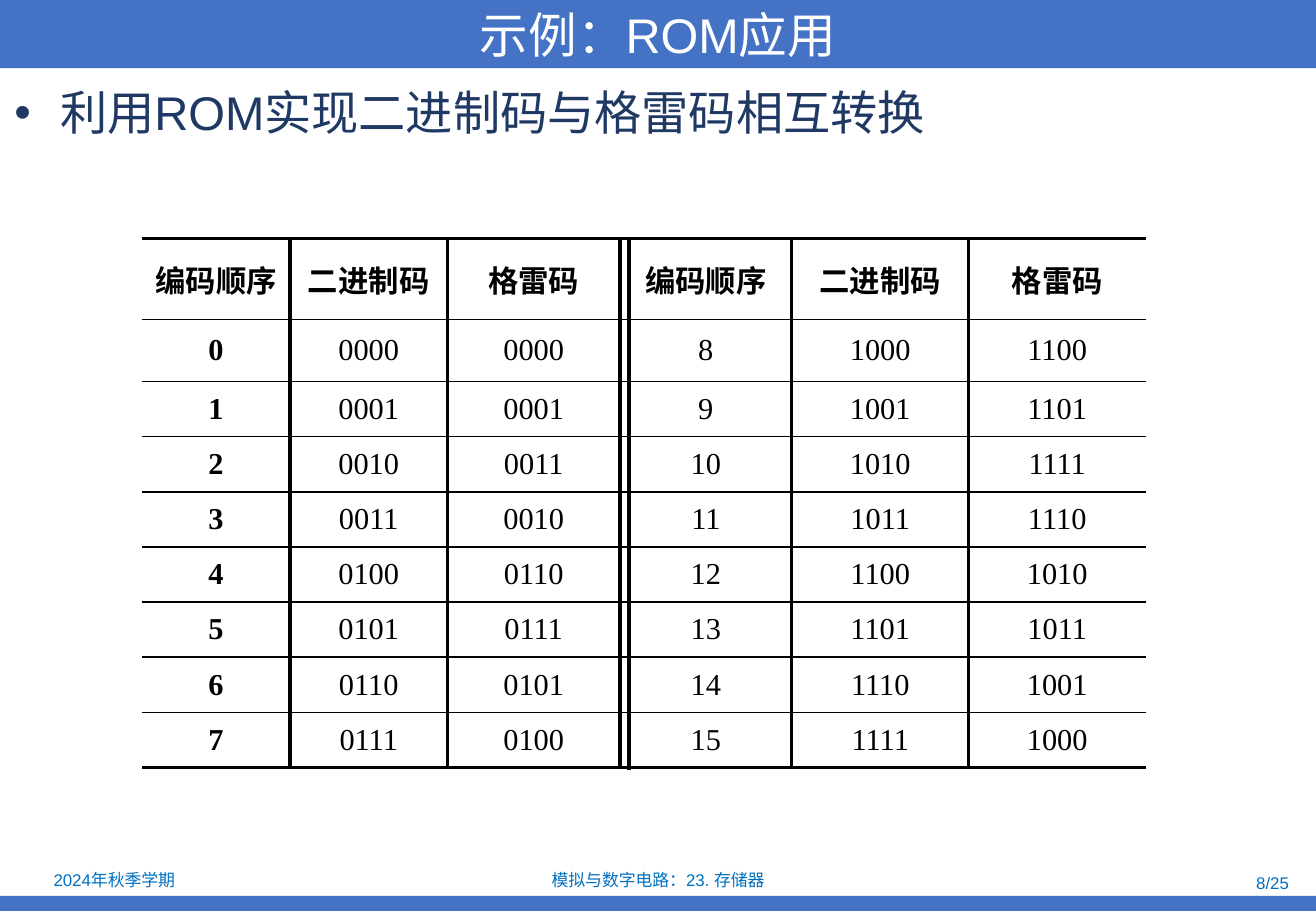
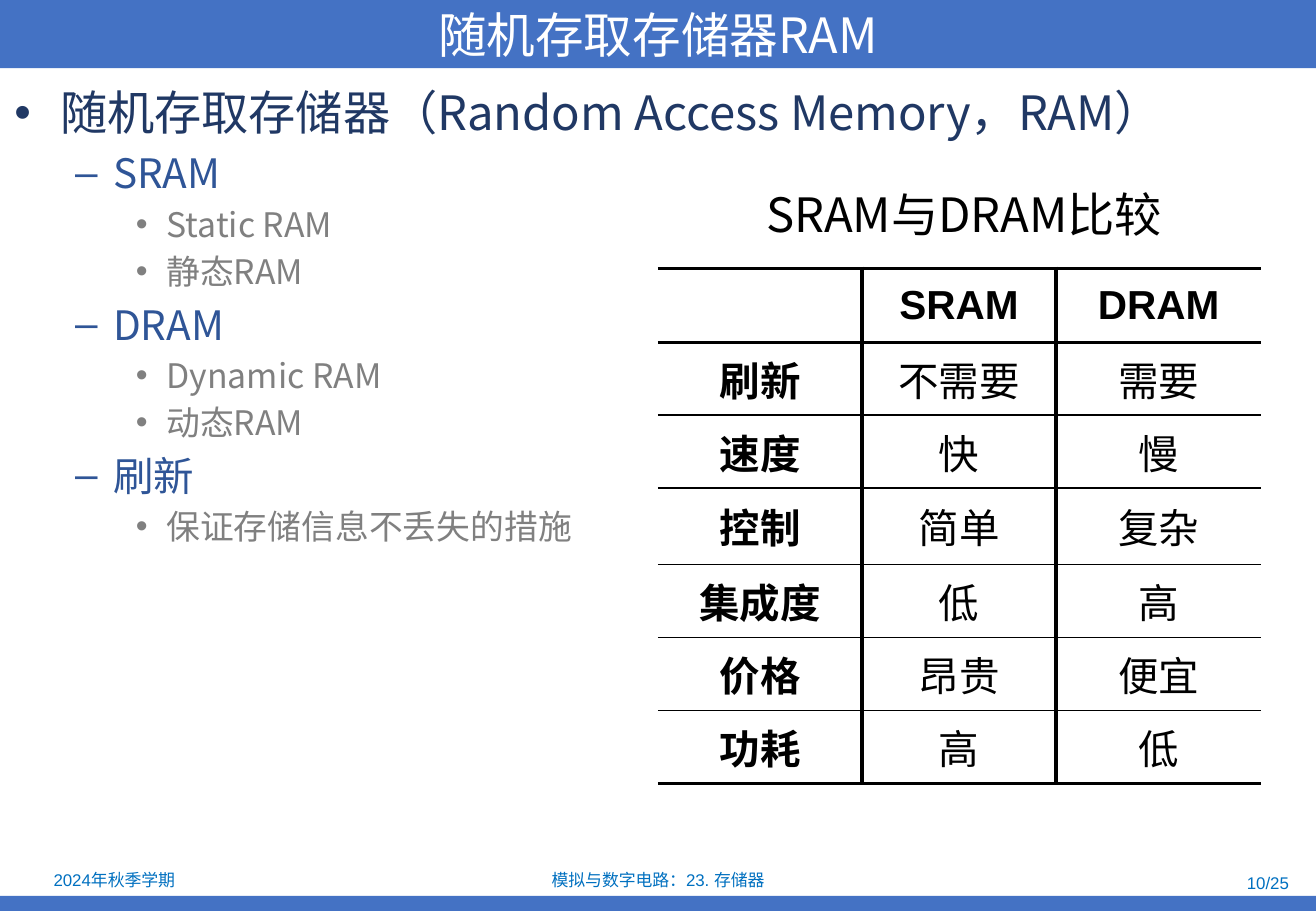
from dataclasses import dataclass

import lxml.etree
import pptx
import pptx.dml.color
import pptx.enum.shapes
import pptx.enum.text
import pptx.oxml.ns
import pptx.util

Pt = pptx.util.Pt
qn = pptx.oxml.ns.qn
ALIGN = pptx.enum.text.PP_ALIGN
MID = pptx.enum.text.MSO_ANCHOR.MIDDLE
TOP = pptx.enum.text.MSO_ANCHOR.TOP

COLORS = {"band": "4472C4", "foot": "0070C0", "white": "FFFFFF", "black": "000000",
          "navy": "203864", "blue": "2F5597", "gray": "808080"}
SANS, SERIF, HAN = "Arial", "Times New Roman", "Noto Sans CJK SC"
WIDE, HIGH = 780, 540
THICK, THIN = 2.25, 1
GAP = 0.2  # paragraph gap as a share of the text size


@dataclass(frozen=True)
class Box:
    x: float
    y: float
    w: float
    h: float


@dataclass(frozen=True)
class Look:
    size: float
    color: str
    font: str = SANS
    bold: bool = False


@dataclass(frozen=True)
class Level:
    left: float
    hang: float
    mark: str
    size: float
    color: str


@dataclass(frozen=True)
class Grid:
    x: float
    y: float
    cols: list[float]
    rows: list[float]
    cells: list[list[str]]
    head: Look
    size: float
    font: str
    pad: tuple[float, float]
    heavy: set[int]  # row lines drawn thick


LEVELS = [Level(27, 27, "•", 28, "navy"),
          Level(58.5, 22.5, "–", 24, "blue"),
          Level(90, 18, "•", 20, "gray")]


# Text
def rgb(name: str) -> pptx.dml.color.RGBColor:
    return pptx.dml.color.RGBColor.from_string(COLORS[name])


def add_run(para, text: str, look: Look) -> None:
    run = para.add_run()
    run.text = text
    font = run.font
    font.size, font.bold, font.name = Pt(look.size), look.bold, look.font
    font.color.rgb = rgb(look.color)
    lxml.etree.SubElement(font._element, qn("a:ea"), typeface=HAN)


def add_text(slide, box: Box, text: str, look: Look, align=ALIGN.CENTER, anchor=MID) -> None:
    frame = add_frame(slide, box, anchor)
    para = frame.paragraphs[0]
    para.alignment = align
    add_run(para, text, look)


def add_frame(slide, box: Box, anchor):
    shape = slide.shapes.add_textbox(Pt(box.x), Pt(box.y), Pt(box.w), Pt(box.h))
    frame = shape.text_frame
    frame.word_wrap, frame.vertical_anchor = True, anchor
    return frame


def add_list(slide, items: list[tuple[int, str]], font: str) -> None:
    frame = add_frame(slide, Box(1.5, 46, 778.5, 468), TOP)
    for i, (depth, text) in enumerate(items):
        level = LEVELS[depth]
        para = frame.add_paragraph() if i else frame.paragraphs[0]
        props = para._p.get_or_add_pPr()
        props.set("marL", str(Pt(level.left)))
        props.set("indent", str(-Pt(level.hang)))
        lxml.etree.SubElement(props, qn("a:buFont"), typeface=SANS)
        lxml.etree.SubElement(props, qn("a:buChar"), char=level.mark)
        para.level = depth
        para.space_before = Pt(level.size * GAP if i else 0)
        add_run(para, text, Look(level.size, level.color, font))


# Shared frame of every slide
def add_band(slide, box: Box):
    kind = pptx.enum.shapes.MSO_SHAPE.RECTANGLE
    band = slide.shapes.add_shape(kind, Pt(box.x), Pt(box.y), Pt(box.w), Pt(box.h))
    band.shadow.inherit = False
    band.fill.solid()
    band.fill.fore_color.rgb = rgb("band")
    band.line.fill.background()
    return band


def add_slide(deck, title: str, font: str, page: str):
    slide = deck.slides.add_slide(deck.slide_layouts[6])
    add_band(slide, Box(0, 531, WIDE, 9))
    frame = add_band(slide, Box(0, 0, WIDE, 40.4)).text_frame
    frame.margin_top = frame.margin_bottom = Pt(0)
    frame.vertical_anchor = MID
    frame.paragraphs[0].alignment = ALIGN.CENTER
    add_run(frame.paragraphs[0], title, Look(28.8, "white", font))
    foot = Look(10, "foot")
    add_text(slide, Box(1.5, 513.5, 132.5, 16.5), "2024年秋季学期", foot)
    add_text(slide, Box(266.5, 514, 247, 15), "模拟与数字电路：23. 存储器", foot)
    add_text(slide, Box(589, 515.5, 182, 15), page, foot, ALIGN.RIGHT)
    return slide


# Tables
def set_edge(cell, side: str, width: float) -> None:
    edge = lxml.etree.SubElement(cell._tc.get_or_add_tcPr(), qn("a:ln" + side), w=str(Pt(width)))
    if width:
        fill = lxml.etree.SubElement(edge, qn("a:solidFill"))
        lxml.etree.SubElement(fill, qn("a:srgbClr"), val=COLORS["black"])
    else:
        lxml.etree.SubElement(edge, qn("a:noFill"))


def add_grid(slide, grid: Grid) -> None:
    high, wide = len(grid.rows), len(grid.cols)
    table = slide.shapes.add_table(high, wide, Pt(grid.x), Pt(grid.y),
                                   Pt(sum(grid.cols)), Pt(sum(grid.rows))).table
    table.first_row = table.horz_banding = False
    for col, width in zip(table.columns, grid.cols):
        col.width = Pt(width)
    for row, height in zip(table.rows, grid.rows):
        row.height = Pt(height)
    for r, line in enumerate(grid.cells):
        for c, text in enumerate(line):
            cell = table.cell(r, c)
            cell.margin_left = cell.margin_right = Pt(grid.pad[0])
            cell.margin_top = cell.margin_bottom = Pt(grid.pad[1])
            cell.vertical_anchor = MID
            set_edge(cell, "L", THICK if c else 0)
            set_edge(cell, "R", THICK if c < wide - 1 else 0)
            set_edge(cell, "T", THICK if r in grid.heavy else THIN)
            set_edge(cell, "B", THICK if r + 1 in grid.heavy else THIN)
            cell.fill.background()
            if text:
                para = cell.text_frame.paragraphs[0]
                para.alignment = ALIGN.CENTER
                para.space_after = Pt(grid.size * GAP)
                body = Look(grid.size, "black", grid.font, c == 0)
                add_run(para, text, body if r else grid.head)


def add_line(slide, x: float, top: float, end: float) -> None:
    kind = pptx.enum.shapes.MSO_CONNECTOR.STRAIGHT
    line = slide.shapes.add_connector(kind, Pt(x), Pt(top), Pt(x), Pt(end))
    line.line.width = Pt(THICK)
    line.line.color.rgb = rgb("black")
    lxml.etree.SubElement(line._element.spPr, qn("a:effectLst"))


# Slides
def add_codes(deck) -> None:
    slide = add_slide(deck, "示例：ROM应用", SANS, "8/25")
    add_list(slide, [(0, "利用ROM实现二进制码与格雷码相互转换")], SANS)
    cells = [["编码顺序", "二进制码", "格雷码"] * 2]
    for i in range(8):
        cells.append([text for n in (i, i + 8)
                      for text in (str(n), f"{n:04b}", f"{n ^ n >> 1:04b}")])
    add_grid(slide, Grid(84.2, 141.2, [87.7, 93.4, 102.2, 101.9, 104.9, 104.9],
                         [48.3, 36.7] + [32.7] * 7, cells,
                         Look(18, "black", SERIF, True), 18, SERIF, (7.2, 3.6), {0, 9}))
    add_line(slide, 373, 141.2, 456.5)


def add_ram(deck) -> None:
    slide = add_slide(deck, "随机存取存储器RAM", HAN, "10/25")
    add_list(slide, [(0, "随机存取存储器（Random Access Memory，RAM）"),
                     (1, "SRAM"), (2, "Static RAM"), (2, "静态RAM"),
                     (1, "DRAM"), (2, "Dynamic RAM"), (2, "动态RAM"),
                     (1, "刷新"), (2, "保证存储信息不丢失的措施")], HAN)
    cells = [["", "SRAM", "DRAM"],
             ["刷新", "不需要", "需要"],
             ["速度", "快", "慢"],
             ["控制", "简单", "复杂"],
             ["集成度", "低", "高"],
             ["价格", "昂贵", "便宜"],
             ["功耗", "高", "低"]]
    add_grid(slide, Grid(390, 159, [121, 115, 121.5],
                         [43.9, 43.2, 43.2, 45.4, 43.2, 43.2, 43.2], cells,
                         Look(24, "black", SANS, True), 24, SANS, (0, 0), {0, 1, 7}))
    add_text(slide, Box(432.5, 106.5, 278, 42.5), "SRAM与DRAM比较",
             Look(28, "black", HAN), anchor=TOP)


def main() -> None:
    deck = pptx.Presentation()
    deck.slide_width, deck.slide_height = Pt(WIDE), Pt(HIGH)
    add_codes(deck)
    add_ram(deck)
    deck.save("out.pptx")


if __name__ == "__main__":
    main()
